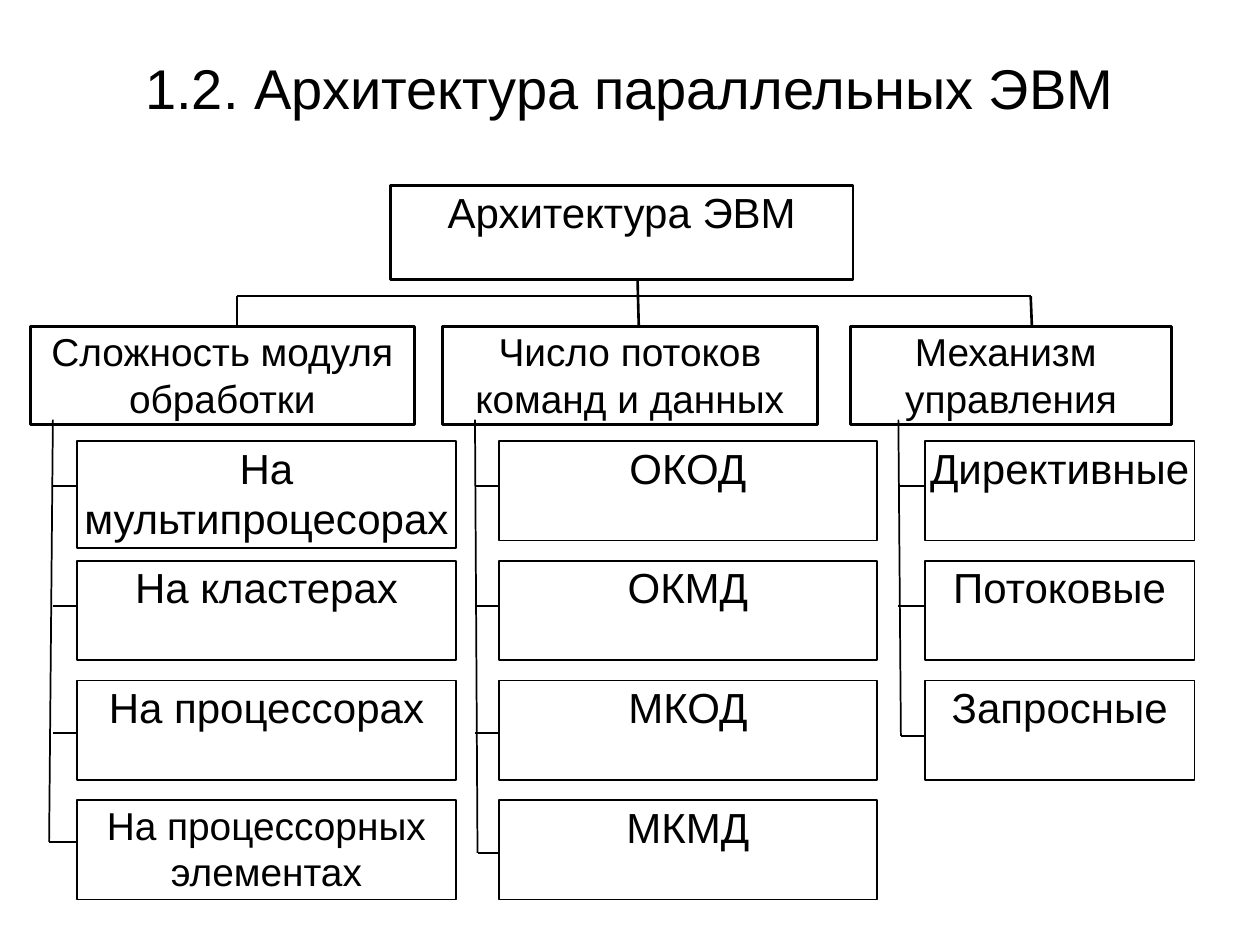
"""Build the slide with the classification tree of parallel computer architectures."""
from dataclasses import dataclass

from lxml import etree
from pptx import Presentation
from pptx.dml.color import RGBColor
from pptx.enum.shapes import MSO_CONNECTOR, MSO_SHAPE
from pptx.enum.text import MSO_ANCHOR, PP_ALIGN
from pptx.oxml.ns import qn
from pptx.slide import Slide
from pptx.text.text import TextFrame
from pptx.util import Inches, Pt

RECTANGLE = MSO_SHAPE.RECTANGLE
STRAIGHT = MSO_CONNECTOR.STRAIGHT
CENTER = PP_ALIGN.CENTER
TOP, MIDDLE = MSO_ANCHOR.TOP, MSO_ANCHOR.MIDDLE

BLACK = "000000"
FONT = "Arial"
THICK, THIN = 1.5, 1
LARGE, SMALL = 24, 22.2
INSET = 0.01
ROOT_LEFT, ROOT_TOP, ROOT_WIDTH, ROOT_HEIGHT = 3.1, 1.47, 3.67, 0.75
BUS_TOP = 2.35
HEADING_TOP, HEADING_HEIGHT = 2.59, 0.78
LEAF_TOP, LEAF_PITCH = 3.5, 0.95
TICKS = (3.86, 4.81, 5.82)


@dataclass(frozen=True)
class Leaf:
    """A box in the list below a heading."""

    text: str
    size: float = LARGE
    height: float = 0.79


@dataclass(frozen=True)
class Branch:
    """A heading with its feeding line, its spine and its leaves."""

    heading: str
    left: float
    width: float
    stem: tuple[float, float, float]
    spine: tuple[float, float]
    spine_bottom: float
    leaf_left: float
    leaf_width: float
    leaves: tuple[Leaf, ...]


BRANCHES = (
    Branch("Сложность модуля\nобработки", 0.24, 3.05, (1.88, 1.88, BUS_TOP),
           (0.42, 0.39), 6.68, 0.61, 3.01,
           (Leaf("На мультипроцесорах", height=0.85), Leaf("На кластерах"),
            Leaf("На процессорах"), Leaf("На процессорных элементах", SMALL))),
    Branch("Число потоков команд и данных", 3.51, 2.98,
           (5.06, 5.07, ROOT_TOP + ROOT_HEIGHT),
           (3.77, 3.79), 6.77, 3.96, 3,
           (Leaf("ОКОД"), Leaf("ОКМД"), Leaf("МКОД"), Leaf("МКМД"))),
    Branch("Механизм \nуправления", 6.75, 2.55, (8.18, 8.19, BUS_TOP),
           (7.13, 7.15), 5.84, 7.34, 2.14,
           (Leaf("Директивные"), Leaf("Потоковые"), Leaf("Запросные"))),
)


def color(value: str) -> RGBColor:
    """Turn a hex string into a colour."""
    return RGBColor.from_string(value)


def write_text(frame: TextFrame, text: str, *, size: float, anchor=TOP) -> None:
    """Fill a text frame with one centred, formatted paragraph."""
    frame.word_wrap = True
    frame.vertical_anchor = anchor
    paragraph = frame.paragraphs[0]
    paragraph.text = text
    paragraph.alignment = CENTER
    for run in paragraph.runs:
        run.font.name = FONT
        run.font.size = Pt(size)
        run.font.color.rgb = color(BLACK)


def add_box(slide: Slide, text: str, left: float, top: float, width: float,
            height: float, *, size: float, weight: float) -> None:
    """Draw an outlined rectangle with text."""
    shape = slide.shapes.add_shape(
        RECTANGLE, Inches(left), Inches(top), Inches(width), Inches(height))
    shape.shadow.inherit = False
    shape.fill.background()
    shape.line.color.rgb = color(BLACK)
    shape.line.width = Pt(weight)
    frame = shape.text_frame
    frame.margin_left = frame.margin_right = Inches(INSET)
    frame.margin_top = frame.margin_bottom = Inches(INSET)
    write_text(frame, text, size=size)


def add_line(slide: Slide, start: tuple[float, float], end: tuple[float, float],
             weight: float) -> None:
    """Draw a straight line without a shadow."""
    line = slide.shapes.add_connector(
        STRAIGHT, *(Inches(length) for length in (*start, *end)))
    line.line.color.rgb = color(BLACK)
    line.line.width = Pt(weight)
    etree.SubElement(line._element.spPr, qn("a:effectLst"))


def add_branch(slide: Slide, branch: Branch) -> None:
    """Draw a heading, its lines and its leaves."""
    stem_start, stem_end, stem_top = branch.stem
    add_line(slide, (stem_start, stem_top), (stem_end, HEADING_TOP), THICK)
    add_box(slide, branch.heading, branch.left, HEADING_TOP, branch.width,
            HEADING_HEIGHT, size=SMALL, weight=THICK)
    spine_top, spine_foot = branch.spine
    add_line(slide, (spine_top, 3.33), (spine_foot, branch.spine_bottom), THIN)
    ticks = (*TICKS[:len(branch.leaves) - 1], branch.spine_bottom)
    for row, (leaf, tick) in enumerate(zip(branch.leaves, ticks)):
        tick_left = spine_foot if tick == branch.spine_bottom else spine_top
        add_line(slide, (tick_left, tick), (branch.leaf_left, tick), THIN)
        add_box(slide, leaf.text, branch.leaf_left, LEAF_TOP + row * LEAF_PITCH,
                branch.leaf_width, leaf.height, size=leaf.size, weight=THIN)


def main() -> None:
    """Build and save the presentation."""
    presentation = Presentation()
    presentation.slide_width, presentation.slide_height = Inches(10), Inches(7.5)
    slide = presentation.slides.add_slide(presentation.slide_layouts[5])
    title = slide.shapes.title
    title.left, title.top = Inches(0.5), Inches(0.3)
    title.width, title.height = Inches(9), Inches(0.78)
    write_text(title.text_frame, "1.2. Архитектура параллельных ЭВМ",
               size=32, anchor=MIDDLE)
    add_box(slide, "Архитектура ЭВМ", ROOT_LEFT, ROOT_TOP, ROOT_WIDTH,
            ROOT_HEIGHT, size=LARGE, weight=THICK)
    add_line(slide, (BRANCHES[0].stem[0], BUS_TOP),
             (BRANCHES[-1].stem[0], BUS_TOP), THICK)
    for branch in BRANCHES:
        add_branch(slide, branch)
    presentation.save("out.pptx")


if __name__ == "__main__":
    main()
